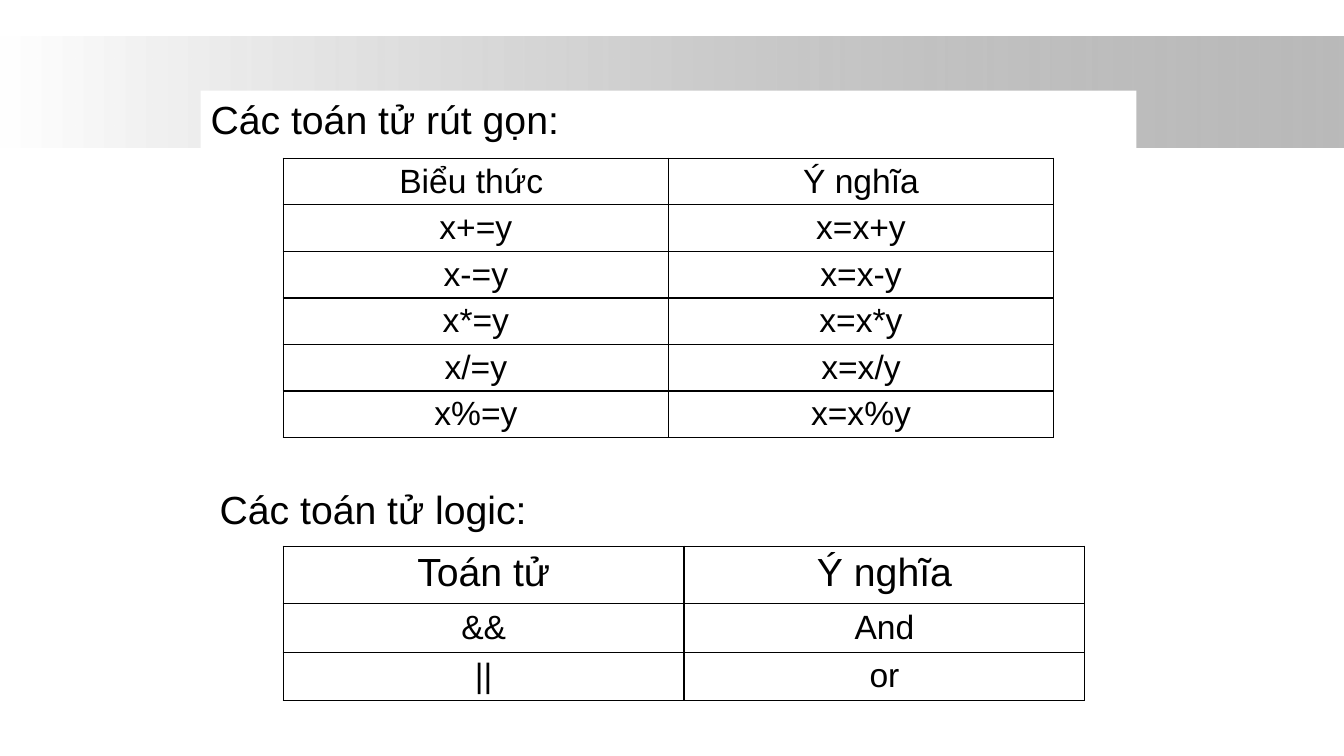
from dataclasses import dataclass

from lxml.etree import SubElement
from pptx import Presentation
from pptx.dml.color import RGBColor
from pptx.enum.shapes import MSO_SHAPE
from pptx.enum.text import MSO_ANCHOR, PP_ALIGN
from pptx.oxml import parse_xml
from pptx.oxml.ns import nsdecls, qn
from pptx.shapes.autoshape import Shape
from pptx.slide import Slide
from pptx.table import _Cell as Cell
from pptx.text.text import TextFrame
from pptx.util import Inches, Pt

BLACK = RGBColor(0x00, 0x00, 0x00)
WHITE = RGBColor(0xFF, 0xFF, 0xFF)
GRAY = RGBColor(0x80, 0x80, 0x80)
FONT = "Arial"
BIG, SMALL = 28, 24
LEFT = 2.81


@dataclass
class Grid:
    top: float
    width: float
    head: float
    row: float
    size: int
    pad: float
    rows: list[tuple[str, str]]


GRIDS = [
    Grid(1.57, 7.64, 0.43, 0.43, SMALL, 0.045, [
        ("Biểu thức ", "Ý nghĩa"),
        ("x+=y", "x=x+y"),
        ("x-=y", "x=x-y"),
        ("x*=y", "x=x*y"),
        ("x/=y", "x=x/y"),
        ("x%=y", "x=x%y"),
    ]),
    Grid(5.42, 7.95, 0.57, 0.48, BIG, 0.05, [
        ("Toán tử", "Ý nghĩa"),
        ("&&", "And"),
        ("||", "or"),
    ]),
]


def write(frame: TextFrame, text: str, size: int, align: PP_ALIGN) -> None:
    frame.text = text
    frame.word_wrap = True
    line = frame.paragraphs[0]
    line.alignment = align
    font = line.runs[0].font
    font.name, font.size = FONT, Pt(size)
    font.color.rgb = BLACK


def add_rect(slide: Slide, left: float, top: float, width: float, height: float) -> Shape:
    rect = slide.shapes.add_shape(
        MSO_SHAPE.RECTANGLE, Inches(left), Inches(top), Inches(width), Inches(height))
    rect.shadow.inherit = False
    rect.line.fill.background()
    return rect


def add_band(slide: Slide) -> None:
    """Draw the bar that runs from white to half-clear gray."""
    band = add_rect(slide, 0, 0.36, 13.33, 1.1)
    band.fill.gradient()
    band.fill.gradient_angle = 0
    for stop, color, place in zip(band.fill.gradient_stops, (WHITE, GRAY), (0, 1)):
        stop.color.rgb = color
        stop.position = place
    last = band._element.spPr.findall(".//" + qn("a:srgbClr"))[-1]
    SubElement(last, qn("a:alpha"), val="54000")


def add_panel(slide: Slide) -> None:
    panel = add_rect(slide, 1.99, 0.9, 9.28, 6.3)
    panel.fill.solid()
    panel.fill.fore_color.rgb = WHITE
    panel.text_frame.vertical_anchor = MSO_ANCHOR.TOP
    write(panel.text_frame, "Các toán tử rút gọn:", BIG, PP_ALIGN.LEFT)


def add_edges(cell: Cell) -> None:
    props = cell._tc.get_or_add_tcPr()
    for spot, side in enumerate("LRTB"):
        props.insert(spot, parse_xml(
            f'<a:ln{side} {nsdecls("a")} w="{Pt(1)}"><a:solidFill>'
            f'<a:srgbClr val="{BLACK}"/></a:solidFill></a:ln{side}>'))


def add_grid(slide: Slide, grid: Grid) -> None:
    count = len(grid.rows)
    height = grid.head + grid.row * (count - 1)
    table = slide.shapes.add_table(
        count, 2, Inches(LEFT), Inches(grid.top), Inches(grid.width), Inches(height)).table
    table.first_row = table.horz_banding = False
    for i, texts in enumerate(grid.rows):
        table.rows[i].height = Inches(grid.row if i else grid.head)
        for j, text in enumerate(texts):
            cell = table.cell(i, j)
            cell.fill.background()
            cell.margin_top = cell.margin_bottom = Inches(grid.pad)
            write(cell.text_frame, text, SMALL if i else grid.size, PP_ALIGN.CENTER)
            add_edges(cell)


def main() -> None:
    deck = Presentation()
    deck.slide_width, deck.slide_height = Inches(13.33), Inches(7.5)
    slide = deck.slides.add_slide(deck.slide_layouts[6])
    add_band(slide)
    add_panel(slide)
    for grid in GRIDS:
        add_grid(slide, grid)
    label = slide.shapes.add_textbox(
        Inches(2.08), Inches(4.77), Inches(4.41), Inches(0.57))
    write(label.text_frame, "Các toán tử logic:", BIG, PP_ALIGN.LEFT)
    deck.save("out.pptx")


if __name__ == "__main__":
    main()
